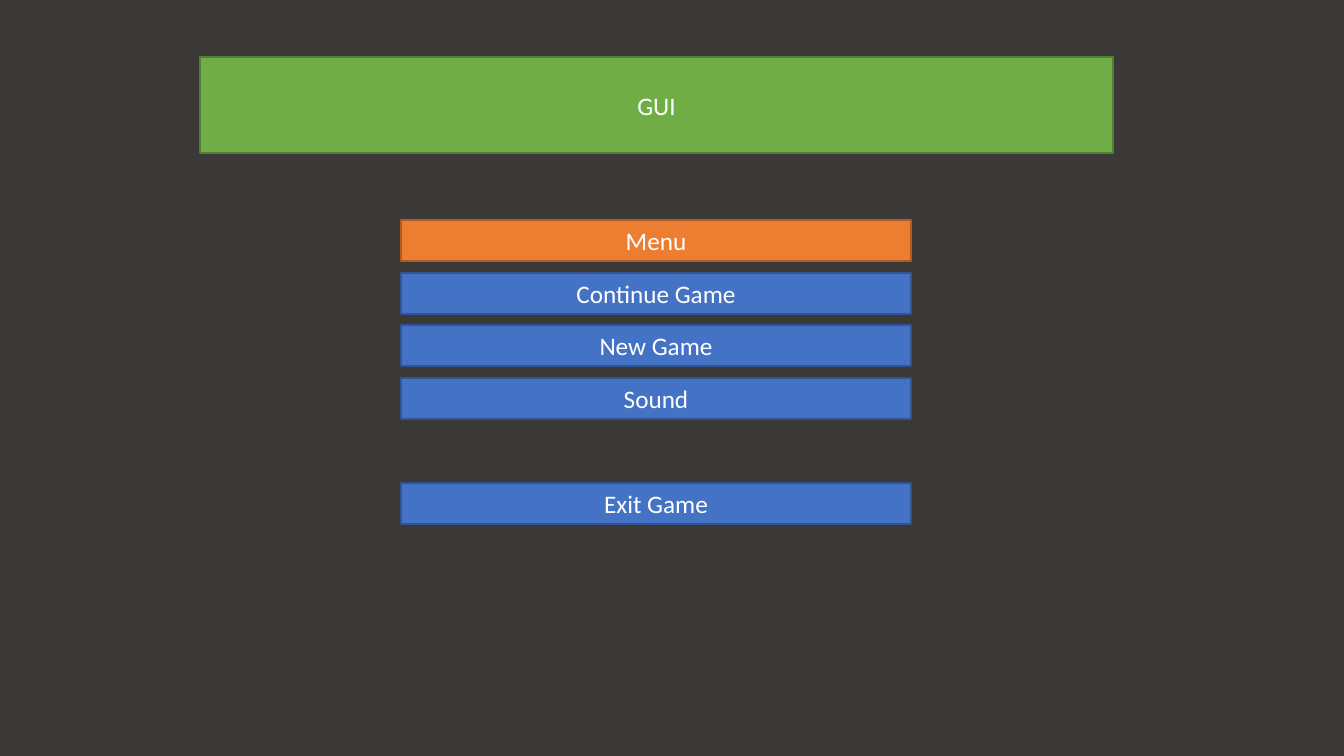
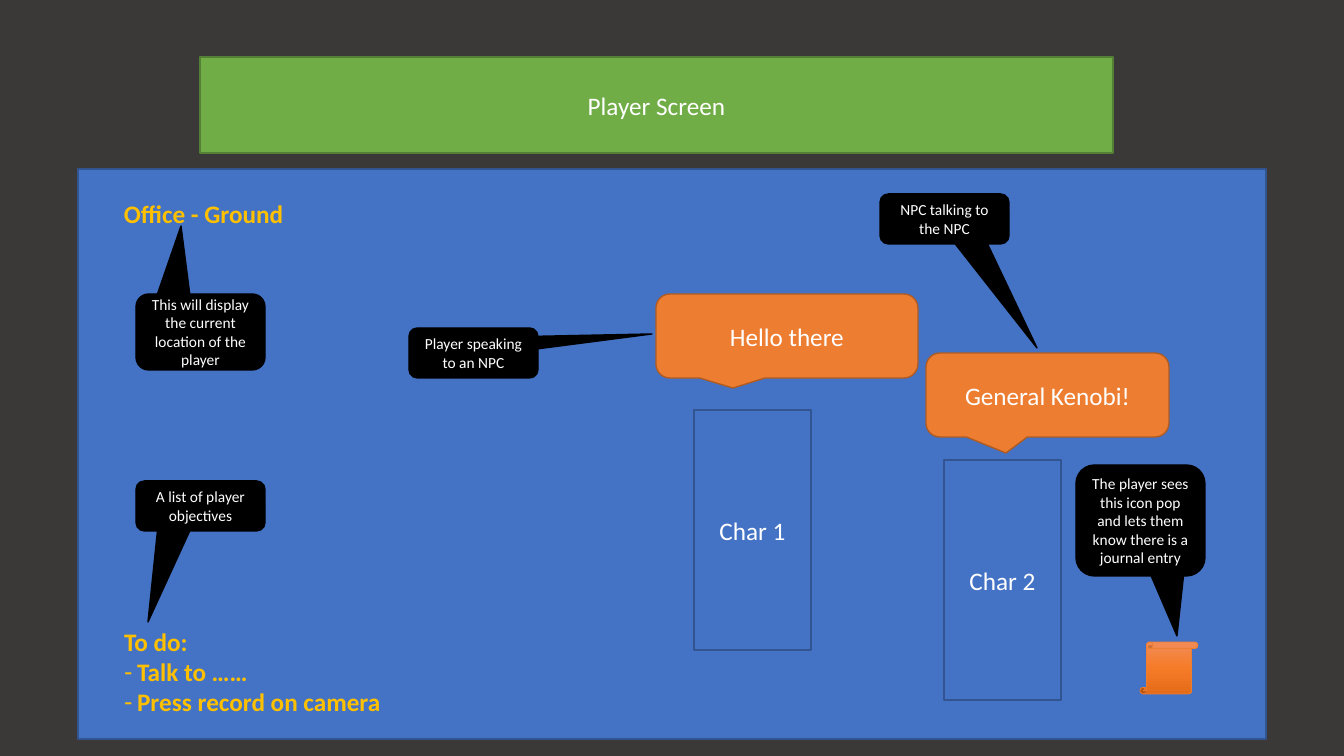
import copy
import dataclasses

import lxml.etree
import pptx
import pptx.dml.color
import pptx.enum.shapes
import pptx.enum.text
import pptx.oxml.ns
import pptx.util

SHAPE = pptx.enum.shapes.MSO_SHAPE
ALIGN = pptx.enum.text.PP_ALIGN
ANCHOR = pptx.enum.text.MSO_ANCHOR
TITLE_ONLY, TITLE_AND_BODY = 5, 1


@dataclasses.dataclass(frozen=True)
class Theme:
    font: str = "Calibri"
    size: int = 18
    note_size: int = 11
    background: str = "3B3838"
    text: str = "FFFFFF"
    hud: str = "FFC000"
    green: tuple = ("70AD47", "538035")
    orange: tuple = ("ED7D31", "AF5C24")
    blue: tuple = ("4472C4", "325491")
    black: tuple = ("000000", "000000")
    scroll: tuple = ((0, "F18C57"), (0.5, "F67B28"), (1, "E56C19"))


def px(value):
    return pptx.util.Emu(round(value * 914400 / 100.8))


def rgb(value):
    return pptx.dml.color.RGBColor.from_string(value)


def write(p, text, *, font, size, color, bold=False, align=ALIGN.LEFT):
    p.alignment = align
    r = p.add_run()
    r.text = text
    r.font.name = font
    r.font.size = pptx.util.Pt(size)
    r.font.bold = bold
    r.font.color.rgb = rgb(color)


class Deck:
    def __init__(self, theme):
        self.theme = theme
        self.prs = pptx.Presentation()
        self.prs.slide_width, self.prs.slide_height = px(1344), px(756)
        self.slide = None

    def new_slide(self, title, layout):
        self.slide = self.prs.slides.add_slide(self.prs.slide_layouts[layout])
        fill = self.slide.background.fill
        fill.solid()
        fill.fore_color.rgb = rgb(self.theme.background)
        sp = self.slide.shapes.title
        self.place(sp, (200, 57, 913, 96))
        self.paint(sp, self.theme.green)
        self.label(sp, title, self.theme.size)

    def place(self, sp, box):
        sp.left, sp.top, sp.width, sp.height = map(px, box)

    def paint(self, sp, colors, width=1):
        fill, line = colors
        sp.fill.solid()
        sp.fill.fore_color.rgb = rgb(fill)
        sp.line.color.rgb = rgb(line)
        sp.line.width = pptx.util.Pt(width)

    def label(self, sp, text, size):
        tf = sp.text_frame
        tf.word_wrap = True
        tf.auto_size = pptx.enum.text.MSO_AUTO_SIZE.NONE
        tf.vertical_anchor = ANCHOR.MIDDLE
        write(tf.paragraphs[0], text, font=self.theme.font, size=size,
              color=self.theme.text, align=ALIGN.CENTER)

    def shape(self, kind, box, colors, text=None, size=None):
        sp = self.slide.shapes.add_shape(kind, *map(px, box))
        sp.shadow.inherit = False
        self.paint(sp, colors)
        if text:
            self.label(sp, text, size or self.theme.size)
        return sp

    def box(self, box, colors, text=None):
        return self.shape(SHAPE.RECTANGLE, box, colors, text)

    def callout(self, box, tip, colors, text, size=None):
        sp = self.shape(SHAPE.ROUNDED_RECTANGULAR_CALLOUT, box, colors, text, size)
        x, y, w, h = box
        sp.adjustments[0] = (tip[0] - x) / w - 0.5
        sp.adjustments[1] = (tip[1] - y) / h - 0.5

    def note(self, box, tip, text):
        self.callout(box, tip, self.theme.black, text, self.theme.note_size)

    def scroll(self, box):
        sp = self.shape(SHAPE.VERTICAL_SCROLL, box, self.theme.orange)
        sp.line.color.rgb = rgb(self.theme.orange[0])
        sp.line.width = pptx.util.Pt(0.5)
        sp.fill.gradient()
        sp.fill.gradient_angle = 270
        first = sp._element.spPr.find(".//" + pptx.oxml.ns.qn("a:gs"))
        first.addnext(copy.deepcopy(first))
        for stop, (position, color) in zip(sp.fill.gradient_stops, self.theme.scroll):
            stop.position = position
            stop.color.rgb = rgb(color)

    def hud_text(self, p, text):
        write(p, text, font=self.theme.font, size=self.theme.size,
              color=self.theme.hud, bold=True)

    def caption(self, box, text):
        sp = self.slide.shapes.add_textbox(*map(px, box))
        sp.text_frame.word_wrap = True
        self.hud_text(sp.text_frame.paragraphs[0], text)

    def objectives(self, box, heading, items):
        sp = self.slide.placeholders[1]
        self.slide.shapes._spTree.append(sp._element)
        self.place(sp, box)
        tf = sp.text_frame
        tf.word_wrap = True
        tf.auto_size = pptx.enum.text.MSO_AUTO_SIZE.NONE
        for i, text in enumerate([heading, *items]):
            p = tf.add_paragraph() if i else tf.paragraphs[0]
            p.space_before = pptx.util.Pt(0)
            self.hud_text(p, text)
            self.bullet(p, "-" if i else None, 13 if i else 0)

    def bullet(self, p, char, indent):
        pPr = p._p.get_or_add_pPr()
        pPr.set("marL", str(px(indent)))
        pPr.set("indent", str(-px(indent)))
        tag = pptx.oxml.ns.qn("a:buChar" if char else "a:buNone")
        bu = lxml.etree.SubElement(pPr, tag)
        if char:
            bu.set("char", char)


def menu_slide(deck):
    theme = deck.theme
    deck.new_slide("GUI", TITLE_ONLY)
    buttons = {0: "Menu", 1: "Continue Game", 2: "New Game", 3: "Sound", 5: "Exit Game"}
    for row, text in buttons.items():
        colors = theme.blue if row else theme.orange
        deck.box((401, round(220 + 52.6 * row), 510, 41), colors, text)


def player_slide(deck):
    theme = deck.theme
    deck.new_slide("Player Screen", TITLE_AND_BODY)
    deck.box((78, 169, 1188, 570), theme.blue)
    deck.callout((656, 294, 262, 84), (733, 388), theme.orange, "Hello there")
    deck.callout((926, 353, 243, 84), (1006, 453), theme.orange, "General Kenobi!")
    deck.scroll((1140, 642, 58, 52))
    deck.caption((114, 193, 182, 40), "Office - Ground")
    deck.objectives((114, 621, 290, 102), "To do:",
                    ["Talk to ……", "Press record on camera"])
    deck.box((694, 410, 117, 240), theme.blue, "Char 1")
    deck.box((944, 460, 117, 240), theme.blue, "Char 2")
    deck.note((409, 328, 129, 50), (652, 334), "Player speaking to an NPC")
    deck.note((880, 194, 129, 50), (1037, 348), "NPC talking to the NPC")
    deck.note((1076, 465, 129, 111), (1177, 636),
              "The player sees this icon pop and lets them know there is a journal entry")
    deck.note((136, 481, 129, 50), (148, 622), "A list of player objectives")
    deck.note((136, 294, 129, 76), (181, 226),
              "This will display the current location of the player")


deck = Deck(Theme())
menu_slide(deck)
player_slide(deck)
deck.prs.save("out.pptx")
